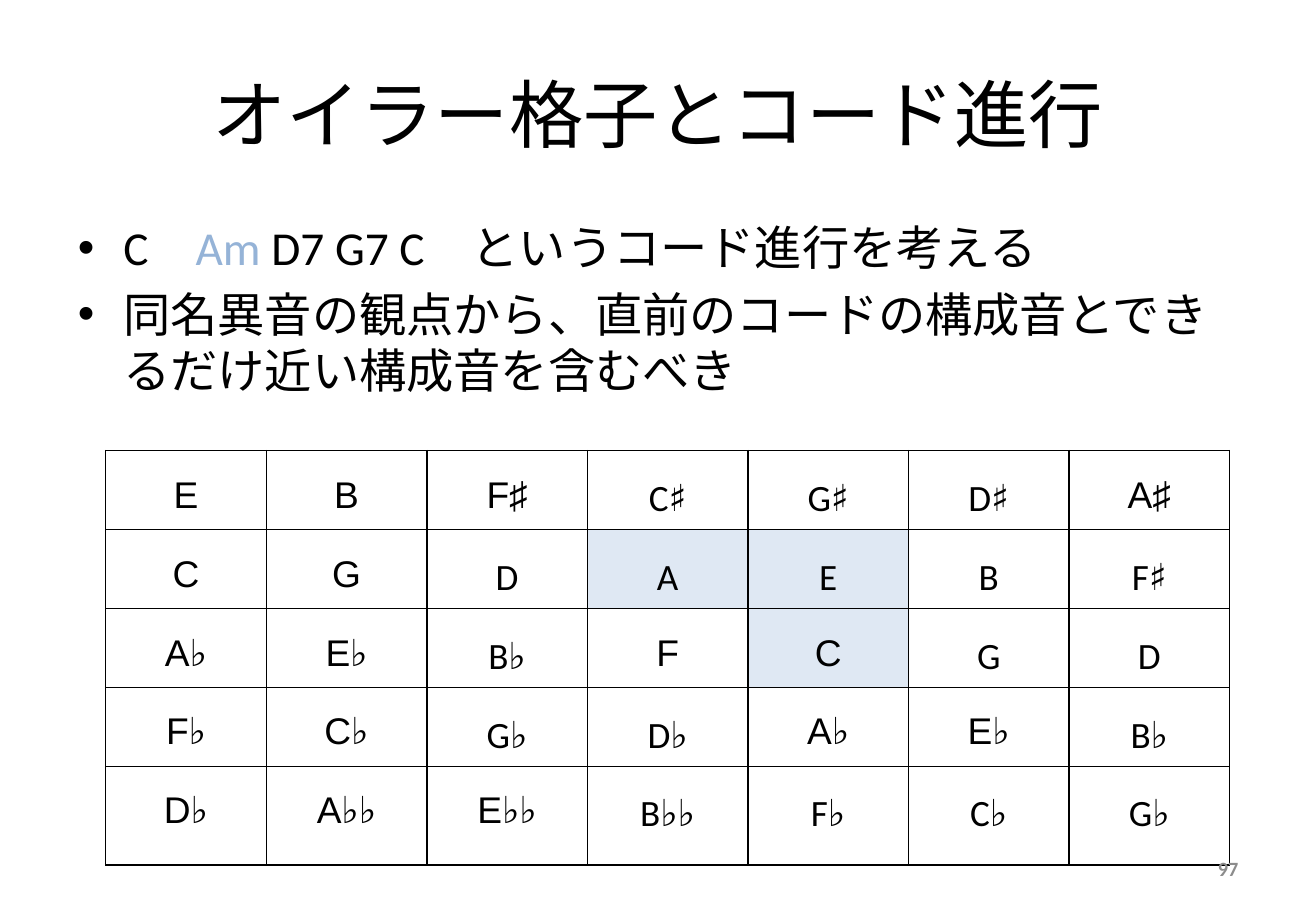
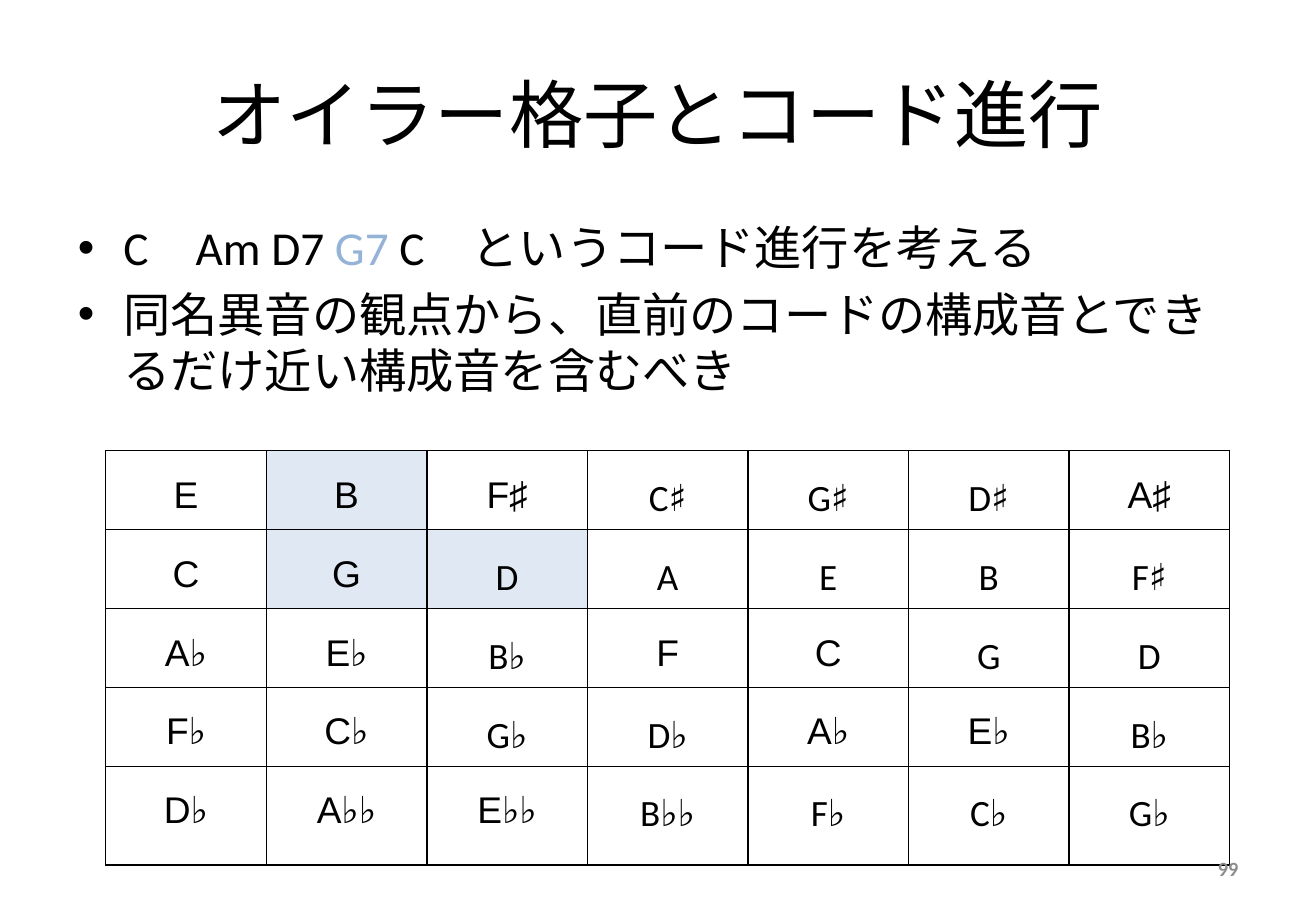
from lxml.etree import SubElement
from pptx import Presentation
from pptx.dml.color import RGBColor
from pptx.enum.lang import MSO_LANGUAGE_ID as Language
from pptx.enum.text import MSO_ANCHOR as Anchor, PP_ALIGN as Align
from pptx.oxml.ns import qn
from pptx.util import Inches, Pt

# Content
TITLE = "オイラー格子とコード進行"
ADVICE = "同名異音の観点から、直前のコードの構成音とできるだけ近い構成音を含むべき"
LATTICE = [
    "E B F♯ C♯ G♯ D♯ A♯".split(),
    "C G D A E B F♯".split(),
    "A♭ E♭ B♭ F C G D".split(),
    "F♭ C♭ G♭ D♭ A♭ E♭ B♭".split(),
    "D♭ A♭♭ E♭♭ B♭♭ F♭ C♭ G♭".split(),
]
# One letter per lattice cell: A for Arial, C for Calibri
CELL_FONTS = ["AAACCCA", "AACCCCC", "AACAACC", "AACCAAC", "AAACCCC"]
FONTS = {"A": "Arial", "C": "Calibri"}
# The chord in the middle is the current one; tones are (row, column)
SLIDES = [
    {"number": 97,
     "progression": ("C　", "Am", " D7 G7 C　というコード進行を考える"),
     "tones": {(1, 3), (1, 4), (2, 4)}},
    {"number": 99,
     "progression": ("C　Am D7 ", "G7", " C　というコード進行を考える"),
     "tones": {(0, 1), (1, 1), (1, 2)}},
]

# Shared style
BLACK = RGBColor(0x00, 0x00, 0x00)
CHORD_BLUE = RGBColor(0x95, 0xB3, 0xD7)
TONE_BLUE = RGBColor(0xB9, 0xCD, 0xE5)
NUMBER_GRAY = RGBColor(0x8C, 0x8C, 0x8C)
TONE_OPACITY = 45
LEFT, WIDTH = Inches(0.54), Inches(9.75)
TABLE_WIDTH = Inches(9.25)
ROW_HEIGHTS = [Inches(height) for height in (0.65, 0.65, 0.65, 0.65, 0.81)]


def place(shape, left, top, width, height):
    shape.left, shape.top, shape.width, shape.height = left, top, width, height


def format_run(run, size, color=BLACK, name="Calibri", bold=False):
    font = run.font
    font.size, font.name, font.bold = Pt(size), name, bold
    font.color.rgb = color
    font.language_id = Language.JAPANESE


def add_borders(cell):
    properties = cell._tc.get_or_add_tcPr()
    for side in ("lnL", "lnR", "lnT", "lnB"):
        line = SubElement(properties, qn(f"a:{side}"), w=str(Pt(1)))
        fill = SubElement(line, qn("a:solidFill"))
        SubElement(fill, qn("a:srgbClr"), val=str(BLACK))


def fill_tone(cell):
    cell.fill.solid()
    cell.fill.fore_color.rgb = TONE_BLUE
    color = cell._tc.tcPr.find(qn("a:solidFill")).find(qn("a:srgbClr"))
    SubElement(color, qn("a:alpha"), val=str(TONE_OPACITY * 1000))


def add_title(slide):
    title = slide.shapes.title
    place(title, LEFT, Inches(0.3), WIDTH, Inches(1.25))
    title.text_frame.text = TITLE
    format_run(title.text_frame.paragraphs[0].runs[0], 44)


def add_body(slide, progression):
    body = slide.placeholders[1]
    place(body, LEFT, Inches(1.75), WIDTH, Inches(4.95))
    first = body.text_frame.paragraphs[0]
    first.space_before = Pt(0)
    for text, color in zip(progression, (BLACK, CHORD_BLUE, BLACK)):
        run = first.add_run()
        run.text = text
        format_run(run, 28, color)
    second = body.text_frame.add_paragraph()
    second.text = ADVICE
    format_run(second.runs[0], 28)


def add_lattice(slide, tones):
    frame = slide.shapes.add_table(
        len(LATTICE), len(LATTICE[0]), Inches(0.87), Inches(3.71),
        TABLE_WIDTH, sum(ROW_HEIGHTS))
    table = frame.table
    table.first_row = table.horz_banding = False
    for column in table.columns:
        column.width = TABLE_WIDTH // len(LATTICE[0])
    for row_index, notes in enumerate(LATTICE):
        table.rows[row_index].height = ROW_HEIGHTS[row_index]
        for column_index, note in enumerate(notes):
            cell = table.cell(row_index, column_index)
            cell.margin_left = cell.margin_right = Inches(0.13)
            cell.margin_top = cell.margin_bottom = Inches(0.06)
            cell.text_frame.text = note
            paragraph = cell.text_frame.paragraphs[0]
            paragraph.alignment = Align.CENTER
            paragraph.line_spacing = 1.4
            name = FONTS[CELL_FONTS[row_index][column_index]]
            format_run(paragraph.runs[0], 22, name=name)
            add_borders(cell)
            if (row_index, column_index) in tones:
                fill_tone(cell)
            else:
                cell.fill.background()


def add_number(slide, number):
    box = slide.shapes.add_textbox(
        Inches(7.76), Inches(6.95), Inches(2.53), Inches(0.4))
    text_frame = box.text_frame
    text_frame.word_wrap = True
    text_frame.vertical_anchor = Anchor.MIDDLE
    text_frame.text = str(number)
    paragraph = text_frame.paragraphs[0]
    paragraph.alignment = Align.RIGHT
    format_run(paragraph.runs[0], 12, NUMBER_GRAY, bold=True)


def main():
    presentation = Presentation()
    presentation.slide_width = Inches(10.83)
    presentation.slide_height = Inches(7.5)
    for content in SLIDES:
        slide = presentation.slides.add_slide(presentation.slide_layouts[1])
        add_title(slide)
        add_body(slide, content["progression"])
        add_lattice(slide, content["tones"])
        add_number(slide, content["number"])
    presentation.save("out.pptx")


if __name__ == "__main__":
    main()
